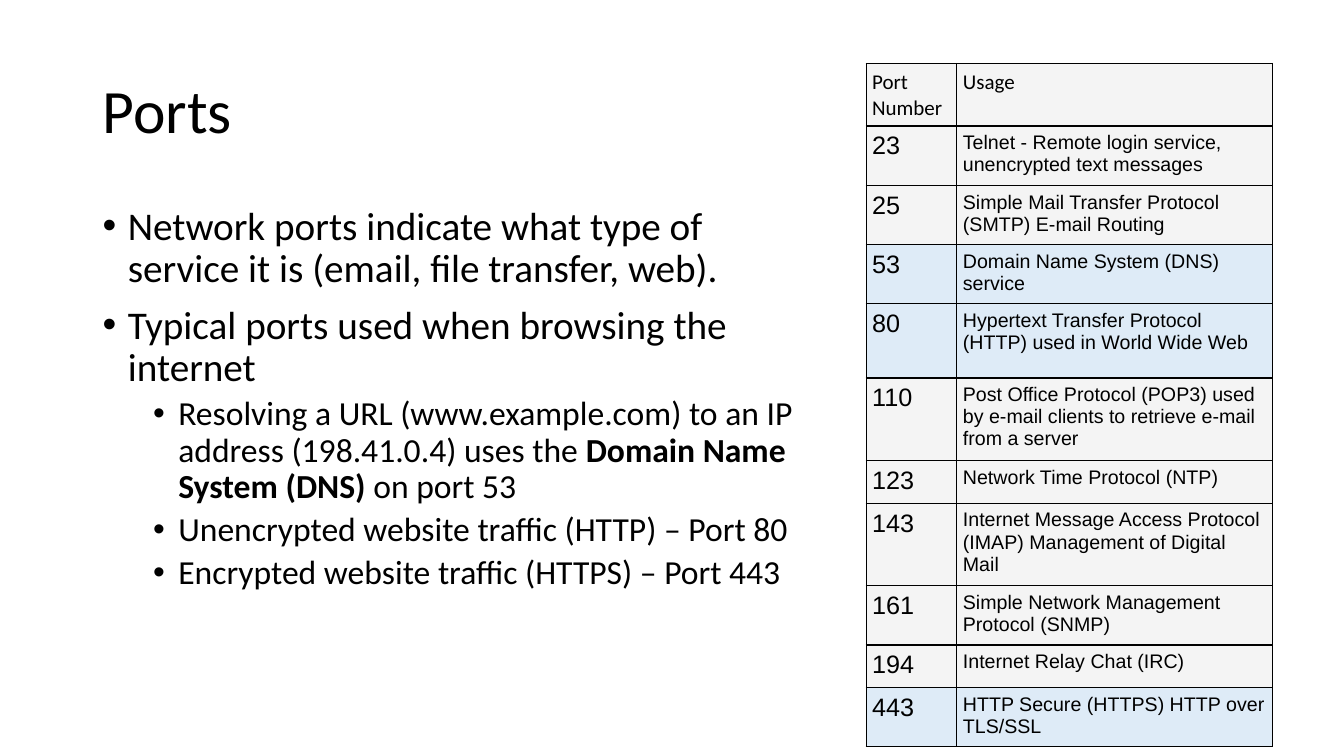
from dataclasses import dataclass

from lxml.etree import SubElement
from pptx import Presentation
from pptx.dml.color import RGBColor
from pptx.enum.text import MSO_ANCHOR
from pptx.oxml.ns import qn
from pptx.util import Inches, Pt

TITLE = "Ports"
BULLETS = [
    (0, [("Network ports indicate what type of service it is (email, file transfer, web).", False)]),
    (0, [("Typical ports used when browsing the internet", False)]),
    (1, [
        ("Resolving a URL (www.example.com) to an IP address (198.41.0.4) uses the ", False),
        ("Domain Name System (DNS) ", True),
        ("on port 53", False),
    ]),
    (1, [("Unencrypted website traffic (HTTP) – Port 80", False)]),
    (1, [("Encrypted website traffic (HTTPS) – Port 443", False)]),
]
PORT_ROWS = [
    ("Port Number", "Usage", 2),
    ("23", "Telnet - Remote login service, unencrypted text messages", 2),
    ("25", "Simple Mail Transfer Protocol (SMTP) E-mail Routing", 2),
    ("53", "Domain Name System (DNS) service", 2),
    ("80", "Hypertext Transfer Protocol (HTTP) used in World Wide Web", 3),
    ("110", "Post Office Protocol (POP3) used by e-mail clients to retrieve e-mail from a server", 3),
    ("123", "Network Time Protocol (NTP)", 1),
    ("143", "Internet Message Access Protocol (IMAP) Management of Digital Mail", 3),
    ("161", "Simple Network Management Protocol (SNMP)", 2),
    ("194", "Internet Relay Chat (IRC)", 1),
    ("443", "HTTP Secure (HTTPS) HTTP over TLS/SSL", 2),
]
BROWSING_PORTS = {"53", "80", "443"}

SLIDE_SIZE = (13.33, 7.5)
TITLE_BOX = (0.92, 0.4, 11.5, 1.45)
BODY_BOX = (0.92, 2, 7.29, 4.76)
TABLE_CORNER = (8.59, 0.63)
COLUMN_WIDTHS = (0.9, 3.13)
CELL_MARGIN = 0.06
ROW_BASE = 0.14
ROW_LINE = 0.2


@dataclass(frozen=True)
class Theme:
    text: str = "000000"
    border: str = "000000"
    cell: str = "F4F4F4"
    highlight: str = "DEEBF7"
    heading_font: str = "Calibri"
    table_font: str = "Arial"
    title_size: int = 44
    bullet_sizes: tuple = (28, 24)
    bullet_spacing: tuple = (10, 5)
    header_size: int = 15
    cell_sizes: tuple = (18, 14)


THEME = Theme()


def write_text(paragraph, text, *, size, font=THEME.heading_font, bold=False):
    run = paragraph.add_run()
    run.text = text
    run.font.name = font
    run.font.size = Pt(size)
    run.font.bold = bold
    run.font.color.rgb = RGBColor.from_string(THEME.text)


def add_text_frame(slide, box, anchor):
    frame = slide.shapes.add_textbox(*map(Inches, box)).text_frame
    frame.word_wrap = True
    frame.vertical_anchor = anchor
    return frame


def add_bullet(paragraph, level):
    properties = paragraph._p.get_or_add_pPr()
    properties.set("marL", str(Inches(0.25 + 0.5 * level)))
    properties.set("indent", str(Inches(-0.25)))
    SubElement(properties, qn("a:buFont"), typeface="Arial")
    SubElement(properties, qn("a:buChar"), char="•")
    paragraph.level = level


def add_title(slide):
    paragraph = add_text_frame(slide, TITLE_BOX, MSO_ANCHOR.MIDDLE).paragraphs[0]
    paragraph.line_spacing = 0.9
    write_text(paragraph, TITLE, size=THEME.title_size)


def add_body(slide):
    frame = add_text_frame(slide, BODY_BOX, MSO_ANCHOR.TOP)
    for index, (level, parts) in enumerate(BULLETS):
        paragraph = frame.add_paragraph() if index else frame.paragraphs[0]
        add_bullet(paragraph, level)
        paragraph.line_spacing = 0.9
        if index:
            paragraph.space_before = Pt(THEME.bullet_spacing[level])
        for text, bold in parts:
            write_text(paragraph, text, size=THEME.bullet_sizes[level], bold=bold)


def add_borders(cell):
    properties = cell._tc.get_or_add_tcPr()
    for side in ("lnL", "lnR", "lnT", "lnB"):
        line = SubElement(properties, qn(f"a:{side}"), w=str(Pt(1)))
        fill = SubElement(line, qn("a:solidFill"))
        SubElement(fill, qn("a:srgbClr"), val=THEME.border)


def format_cell(cell, fill):
    add_borders(cell)
    cell.fill.solid()
    cell.fill.fore_color.rgb = RGBColor.from_string(fill)
    cell.margin_left = cell.margin_right = Inches(CELL_MARGIN)
    cell.margin_top = cell.margin_bottom = Inches(CELL_MARGIN)


def add_port_table(slide):
    heights = [ROW_BASE + ROW_LINE * lines for _, _, lines in PORT_ROWS]
    box = (*TABLE_CORNER, sum(COLUMN_WIDTHS), sum(heights))
    table = slide.shapes.add_table(len(PORT_ROWS), len(COLUMN_WIDTHS), *map(Inches, box)).table
    table.first_row = table.horz_banding = False
    for column, width in zip(table.columns, COLUMN_WIDTHS):
        column.width = Inches(width)
    for row_index, (port, usage, _) in enumerate(PORT_ROWS):
        row = table.rows[row_index]
        row.height = Inches(heights[row_index])
        fill = THEME.highlight if port in BROWSING_PORTS else THEME.cell
        for cell, text, size in zip(row.cells, (port, usage), THEME.cell_sizes):
            format_cell(cell, fill)
            paragraph = cell.text_frame.paragraphs[0]
            if row_index:
                write_text(paragraph, text, size=size, font=THEME.table_font)
            else:
                write_text(paragraph, text, size=THEME.header_size)


def main():
    presentation = Presentation()
    presentation.slide_width, presentation.slide_height = map(Inches, SLIDE_SIZE)
    slide = presentation.slides.add_slide(presentation.slide_layouts[6])
    add_title(slide)
    add_body(slide)
    add_port_table(slide)
    presentation.save("out.pptx")


if __name__ == "__main__":
    main()
